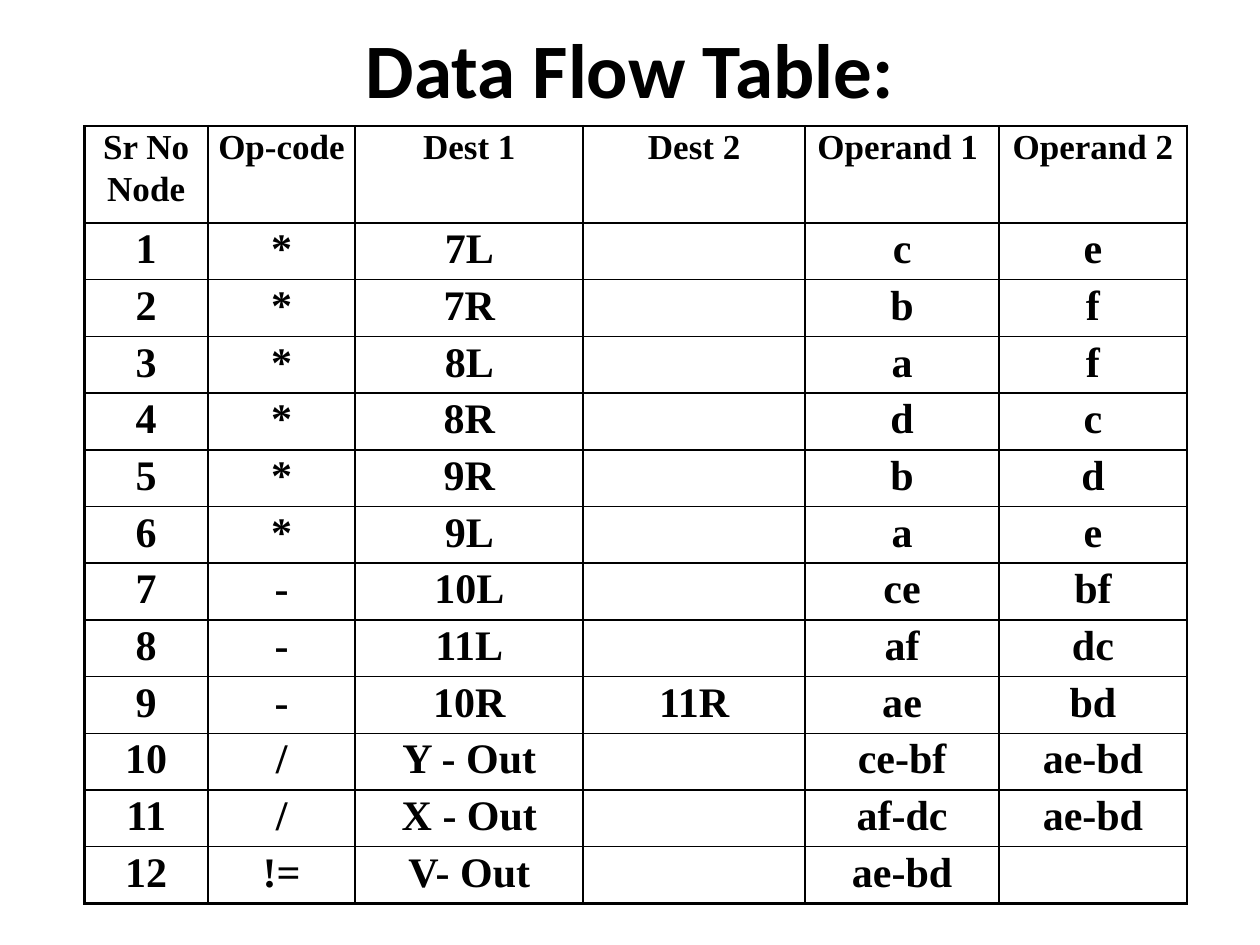
from dataclasses import dataclass

import lxml.etree
import pptx
import pptx.dml.color
import pptx.enum.text
import pptx.oxml.ns
import pptx.util

Inches = pptx.util.Inches
Pt = pptx.util.Pt


@dataclass(frozen=True)
class Theme:
    ink: str = "000000"
    title_font: str = "Calibri"
    table_font: str = "Times New Roman"
    title_size: int = 44
    header_size: int = 20
    body_size: int = 24
    outer_line: float = 1.5
    inner_line: float = 1


HEADERS = ["Sr No Node", "Op-code", "Dest 1", "Dest 2", "Operand 1 ", "Operand 2"]
NODES = [
    ["*", "7L", "", "c", "e"],
    ["*", "7R", "", "b", "f"],
    ["*", "8L", "", "a", "f"],
    ["*", "8R", "", "d", "c"],
    ["*", "9R", "", "b", "d"],
    ["*", "9L", "", "a", "e"],
    ["-", "10L", "", "ce", "bf"],
    ["-", "11L", "", "af", "dc"],
    ["-", "10R", "11R", "ae", "bd"],
    ["/", "Y - Out", "", "ce-bf", "ae-bd"],
    ["/", "X - Out", "", "af-dc", "ae-bd"],
    ["!=", "V- Out", "", "ae-bd", ""],
]
COLUMN_WIDTHS = [0.98, 1.17, 1.81, 1.76, 1.54, 1.49]
HEADER_HEIGHT = 0.77
ROW_HEIGHT = 0.45


def set_attributes(target, values):
    for name, value in values.items():
        setattr(target, name, value)


class SlideBuilder:
    def __init__(self, slide, theme):
        self.slide = slide
        self.theme = theme

    def add_text(self, text_frame, text, font_name, size, line_spacing):
        paragraph = text_frame.paragraphs[0]
        set_attributes(paragraph, {
            "alignment": pptx.enum.text.PP_ALIGN.CENTER,
            "line_spacing": line_spacing,
        })
        if text:
            run = paragraph.add_run()
            run.text = text
            set_attributes(run.font, {"name": font_name, "size": Pt(size), "bold": True})
            run.font.color.rgb = pptx.dml.color.RGBColor.from_string(self.theme.ink)

    def add_title(self, text, left, top, width, height):
        box = self.slide.shapes.add_textbox(
            Inches(left), Inches(top), Inches(width), Inches(height))
        set_attributes(box.text_frame, {
            "word_wrap": True,
            "vertical_anchor": pptx.enum.text.MSO_ANCHOR.MIDDLE,
        })
        self.add_text(box.text_frame, text, self.theme.title_font, self.theme.title_size, 1.0)

    def add_borders(self, cell, widths):
        """Draw solid cell edges; widths maps lnL, lnR, lnT, lnB to points."""
        qualified = pptx.oxml.ns.qn
        properties = cell._tc.get_or_add_tcPr()
        for position, (edge, width) in enumerate(widths.items()):
            line = lxml.etree.Element(qualified(f"a:{edge}"), w=str(Pt(width)))
            fill = lxml.etree.SubElement(line, qualified("a:solidFill"))
            lxml.etree.SubElement(fill, qualified("a:srgbClr"), val=self.theme.ink)
            properties.insert(position, line)

    def add_table(self, rows, left, top, column_widths, row_heights):
        theme = self.theme
        table = self.slide.shapes.add_table(
            len(rows), len(column_widths), Inches(left), Inches(top),
            Inches(sum(column_widths)), Inches(sum(row_heights))).table
        set_attributes(table, {"first_row": False, "horz_banding": False})
        for column, width in zip(table.columns, column_widths):
            column.width = Inches(width)
        for row, height in zip(table.rows, row_heights):
            row.height = Inches(height)

        last = len(rows) - 1
        for row_index, texts in enumerate(rows):
            size = theme.body_size if row_index else theme.header_size
            borders = {
                "lnL": theme.outer_line,
                "lnR": theme.outer_line,
                "lnT": theme.outer_line if row_index <= 1 else theme.inner_line,
                "lnB": theme.outer_line if row_index in (0, last) else theme.inner_line,
            }
            for column_index, text in enumerate(texts):
                cell = table.cell(row_index, column_index)
                set_attributes(cell, {
                    "margin_left": Inches(0.07),
                    "margin_right": Inches(0.07),
                    "margin_top": 0,
                    "margin_bottom": 0,
                })
                cell.fill.background()
                self.add_borders(cell, borders)
                self.add_text(cell.text_frame, text, theme.table_font, size, 1.07)


def main():
    presentation = pptx.Presentation()
    set_attributes(presentation, {"slide_width": Inches(10), "slide_height": Inches(7.5)})
    slide = presentation.slides.add_slide(presentation.slide_layouts[6])
    builder = SlideBuilder(slide, Theme())

    builder.add_title("Data Flow Table:", 0.5, 0.12, 9, 0.83)
    rows = [HEADERS] + [[str(number), *node] for number, node in enumerate(NODES, start=1)]
    row_heights = [HEADER_HEIGHT] + [ROW_HEIGHT] * len(NODES)
    builder.add_table(rows, 0.67, 1, COLUMN_WIDTHS, row_heights)
    presentation.save("out.pptx")


if __name__ == "__main__":
    main()
